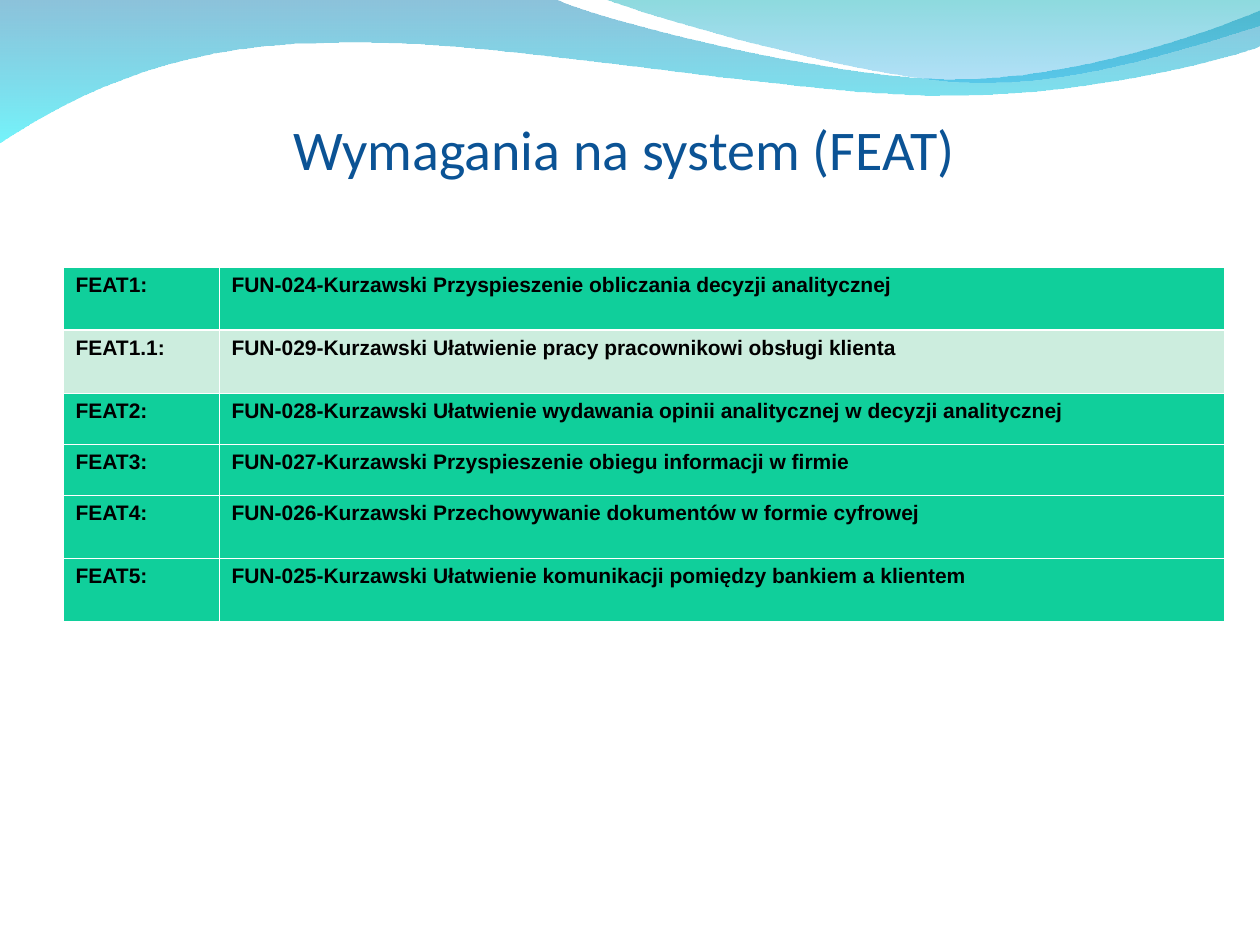
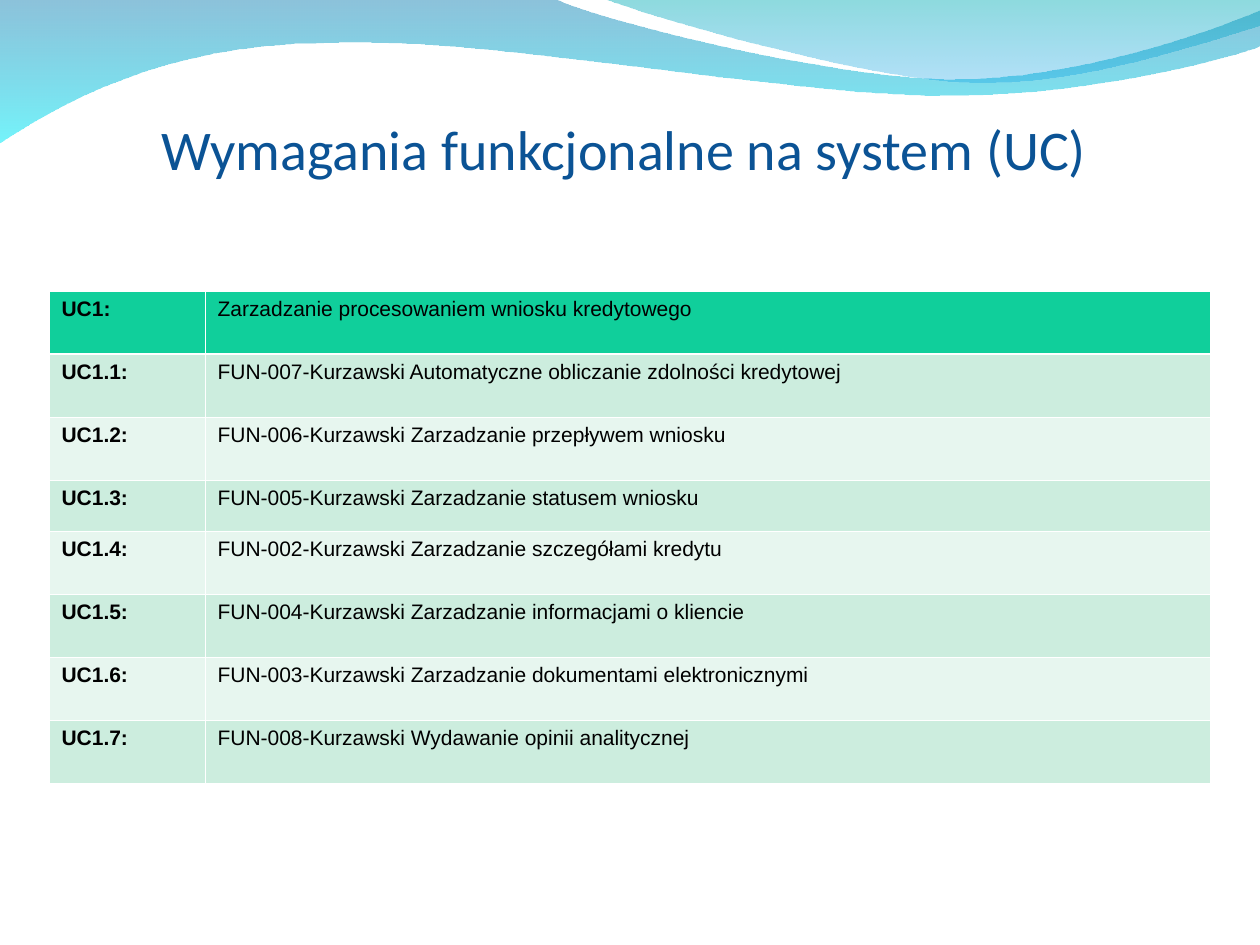
from lxml import etree
from pptx import Presentation
from pptx.dml.color import RGBColor
from pptx.enum import text
from pptx.oxml.ns import qn
from pptx.util import Pt

PX = 914400 / 126  # EMU per px
COLORS = {
    "title": "0B5395", "ink": "000000", "line": "FFFFFF",
    "green": "10CF9B", "pale": "CCEDDE", "mist": "E7F6EF",
}
THIN, THICK = 0.45, 1.5  # table rules in points

# Content: each row is (label, requirement, fill, height)
TALL, LOW = 63, 51
SLIDES = [
    {"title": "Wymagania na system (FEAT)", "at": (63, 267), "bold": True, "rows": [
        ("FEAT1:", "FUN-024-Kurzawski Przyspieszenie obliczania decyzji analitycznej", "green", TALL),
        ("FEAT1.1:", "FUN-029-Kurzawski Ułatwienie pracy pracownikowi obsługi klienta", "pale", TALL),
        ("FEAT2:", "FUN-028-Kurzawski Ułatwienie wydawania opinii analitycznej w decyzji analitycznej",
         "green", LOW),
        ("FEAT3:", "FUN-027-Kurzawski Przyspieszenie obiegu informacji w firmie", "green", LOW),
        ("FEAT4:", "FUN-026-Kurzawski Przechowywanie dokumentów w formie cyfrowej", "green", TALL),
        ("FEAT5:", "FUN-025-Kurzawski Ułatwienie komunikacji pomiędzy bankiem a klientem", "green", TALL),
    ]},
    {"title": "Wymagania funkcjonalne na system (UC)", "at": (49, 291), "bold": False, "rows": [
        ("UC1:", "Zarzadzanie procesowaniem wniosku kredytowego", "green", TALL),
        ("UC1.1:", "FUN-007-Kurzawski Automatyczne obliczanie zdolności kredytowej", "pale", TALL),
        ("UC1.2:", "FUN-006-Kurzawski Zarzadzanie przepływem wniosku", "mist", TALL),
        ("UC1.3:", "FUN-005-Kurzawski Zarzadzanie statusem wniosku", "pale", LOW),
        ("UC1.4:", "FUN-002-Kurzawski Zarzadzanie szczegółami kredytu", "mist", TALL),
        ("UC1.5:", "FUN-004-Kurzawski Zarzadzanie informacjami o kliencie", "pale", TALL),
        ("UC1.6:", "FUN-003-Kurzawski Zarzadzanie dokumentami elektronicznymi", "mist", TALL),
        ("UC1.7:", "FUN-008-Kurzawski Wydawanie opinii analitycznej", "pale", TALL),
    ]},
]
COLUMNS = (156, 1005)

# Waves: one point is a straight step, three points are a Bézier curve;
# gradient stops run top to bottom as (colour, opacity in %)
WAVES = [
    {"start": (0, -1), "stops": [("0079AF", 45), ("00EBF8", 55)], "steps": [
        [(555, -1)],
        [(600, 21), (837, 79), (955, 79)],
        [(1075, 79), (1207, 33), (1260, 11)],
        [(1261, 46)],
        [(1239, 55), (1096, 96), (940, 95)],
        [(784, 95), (481, 35), (324, 43)],
        [(163, 44), (58, 105), (-1, 143)],
    ]},
    {"start": (604, -1), "stops": [("00ADB6", 45), ("009BE5", 30)], "steps": [
        [(641, 14), (859, 78), (969, 82)],
        [(1079, 87), (1211, 40), (1260, 26)],
        [(1260, 0)],
    ]},
]


def px(*lengths):
    return [round(n * PX) for n in lengths]


def rgb(name):
    return RGBColor.from_string(COLORS[name])


def write(tf, words, size, font, color, bold=False, align=text.PP_ALIGN.LEFT):
    p = tf.paragraphs[0]
    p.alignment = align
    r = p.add_run()
    r.text = words
    r.font.size, r.font.name, r.font.bold = Pt(size), font, bold
    r.font.color.rgb = rgb(color)


def bend(sp, steps):
    """Turn the straight segments of three-point steps into Bézier curves."""
    segments = list(sp._element.spPr.iter(qn("a:lnTo")))
    for segment, step in zip(segments, steps):
        if len(step) == 3:
            bezier = etree.Element(qn("a:cubicBezTo"))
            for point in step:
                x, y = px(*point)
                etree.SubElement(bezier, qn("a:pt"), x=str(x - sp.left), y=str(y - sp.top))
            segment.getparent().replace(segment, bezier)


def add_wave(slide, wave):
    builder = slide.shapes.build_freeform(*px(*wave["start"]))
    builder.add_line_segments([px(*step[-1]) for step in wave["steps"]], close=True)
    sp = builder.convert_to_shape()
    bend(sp, wave["steps"])
    sp.shadow.inherit = False
    sp.line.fill.background()
    sp.fill.gradient()
    sp.fill.gradient_angle = 270
    for stop, (color, _) in zip(sp.fill.gradient_stops, wave["stops"]):
        stop.color.rgb = RGBColor.from_string(color)
    grad = sp._element.spPr.find(qn("a:gradFill"))
    for clr, (_, opacity) in zip(grad.iter(qn("a:srgbClr")), wave["stops"]):
        etree.SubElement(clr, qn("a:alpha"), val=str(opacity * 1000))


def set_borders(cell, top, bottom):
    tc_pr = cell._tc.get_or_add_tcPr()
    widths = (("lnL", THIN), ("lnR", THIN), ("lnT", top), ("lnB", bottom))
    for i, (side, width) in enumerate(widths):
        ln = etree.Element(qn(f"a:{side}"), w=str(Pt(width)))
        fill = etree.SubElement(ln, qn("a:solidFill"))
        etree.SubElement(fill, qn("a:srgbClr"), val=COLORS["line"])
        tc_pr.insert(i, ln)


def add_requirements(slide, at, rows, bold):
    size = sum(COLUMNS), sum(row[3] for row in rows)
    table = slide.shapes.add_table(len(rows), len(COLUMNS), *px(*at, *size)).table
    table.first_row = table.horz_banding = False
    for column, width in zip(table.columns, px(*COLUMNS)):
        column.width = width
    for i, (label, requirement, fill, height) in enumerate(rows):
        table.rows[i].height = px(height)[0]
        for j, words in enumerate((label, requirement)):
            cell = table.cell(i, j)
            write(cell.text_frame, words, 12, "Arial", "ink", bold=bold or j == 0)
            cell.fill.solid()
            cell.fill.fore_color.rgb = rgb(fill)
            # A thicker rule separates the first row from the rest
            set_borders(cell, THICK if i == 1 else THIN, THICK if i == 0 else THIN)


def add_title(slide, words):
    tf = slide.shapes.add_textbox(*px(89, 89, 1071, 118)).text_frame
    tf.word_wrap = True
    tf.vertical_anchor = text.MSO_ANCHOR.MIDDLE
    write(tf, words, 32, "Calibri", "title", align=text.PP_ALIGN.CENTER)


def main():
    prs = Presentation()
    prs.slide_width, prs.slide_height = px(1260, 945)
    for content in SLIDES:
        slide = prs.slides.add_slide(prs.slide_layouts[6])
        for wave in WAVES:
            add_wave(slide, wave)
        add_title(slide, content["title"])
        add_requirements(slide, content["at"], content["rows"], content["bold"])
    prs.save("out.pptx")


if __name__ == "__main__":
    main()
